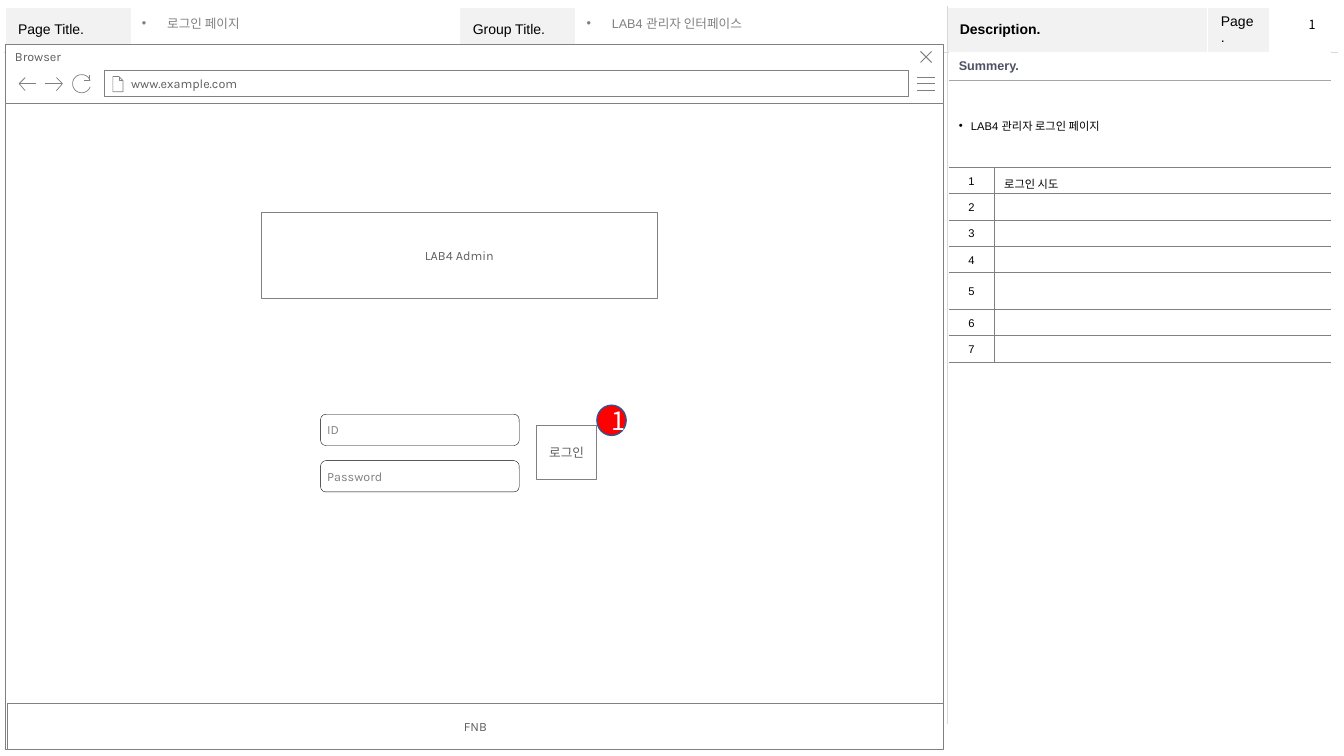
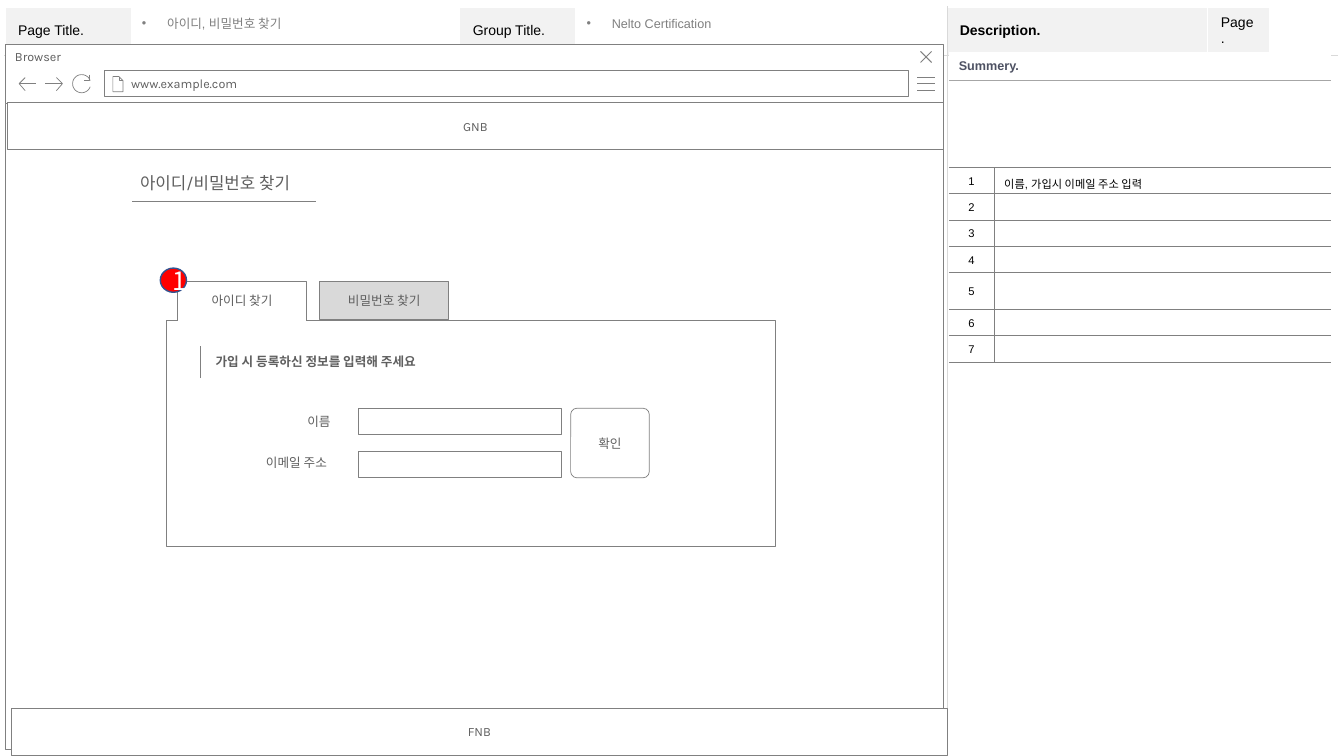
from dataclasses import dataclass
from math import cos, radians, sin
from typing import Any, NamedTuple, Optional

from lxml.etree import SubElement
from pptx import Presentation
from pptx.dml.color import RGBColor
from pptx.enum.shapes import MSO_CONNECTOR as Connector, MSO_SHAPE as Preset
from pptx.enum.text import MSO_ANCHOR as Anchor, PP_ALIGN as Align
from pptx.oxml.ns import qn
from pptx.util import Inches, Pt


@dataclass(frozen=True)
class Theme:
    white: str = "FFFFFF"
    black: str = "000000"
    wire: str = "808080"
    label: str = "5F5F5F"
    band: str = "F2F2F2"
    inactive: str = "D9D9D9"
    summary: str = "4E5263"
    summary_rule: str = "A6A6A6"
    badge: str = "FF0000"
    badge_line: str = "325491"
    sans: str = "Arial"
    wire_font: str = "Karla"
    korean: str = "Noto Sans CJK KR"
    small: float = 8
    body: float = 9
    header: float = 10
    heading: float = 12
    badge_size: float = 18
    thin: float = 0.25
    stroke: float = 0.5


THEME = Theme()
PLAIN_TABLE = "{2D5ABB26-0587-4C30-8999-92F81FD0307C}"
CELL_INSETS = (0.1, 0.05, 0.1, 0.05)
LABEL_INSETS = (0.1, 0.06, 0.1, 0.06)
TAB_INSETS = (0.05, 0.05, 0.05, 0.05)
FIELD_INSETS = (0.05, 0.01, 0.05, 0.01)

# Cell edges are spelled left, right, top, bottom; "-" leaves a side bare
EDGES = {
    "w": (THEME.white, 1),
    "g": (THEME.inactive, THEME.thin),
    "s": (THEME.summary_rule, THEME.thin),
    "d": (THEME.wire, THEME.thin),
}


class Box(NamedTuple):
    left: float
    top: float
    width: float
    height: float


class Point(NamedTuple):
    x: float
    y: float


@dataclass(frozen=True)
class Block:
    """A wireframe element: outline, fill and label."""
    box: Box
    text: str = ""
    preset: Any = Preset.RECTANGLE
    fill: Optional[str] = THEME.white
    line: Optional[str] = THEME.wire
    weight: float = THEME.stroke
    corner: Optional[float] = None
    font: str = THEME.wire_font
    size: float = THEME.body
    color: str = THEME.label
    bold: bool = False
    align: Any = Align.CENTER
    anchor: Any = Anchor.MIDDLE
    insets: tuple = CELL_INSETS
    wrap: bool = True


@dataclass(frozen=True)
class Screen:
    """What the frame around one screen says."""
    page_title: str
    group_title: str
    summary: str
    first_note: str
    page: str = ""


# Text
def write(frame: Any, text: str, *, font: str = THEME.sans, size: float = THEME.body,
          color: str = THEME.black, bold: bool = False, align: Any = Align.LEFT,
          spacing: Optional[float] = None, before: float = 0, bullet: float = 0) -> None:
    paragraph = frame.paragraphs[0]
    paragraph.alignment = align
    if spacing:
        paragraph.line_spacing = spacing
    if before:
        paragraph.space_before = Pt(before)
    if not text:
        paragraph._p.get_or_add_endParaRPr().set("sz", str(int(size * 100)))
        return
    if bullet:
        props = paragraph._p.get_or_add_pPr()
        props.set("marL", str(Inches(bullet)))
        props.set("indent", str(-Inches(bullet)))
        SubElement(props, qn("a:buFont")).set("typeface", THEME.sans)
        SubElement(props, qn("a:buChar")).set("char", "•")
    run = paragraph.add_run()
    run.text = text
    run.font.name = font
    run.font.size = Pt(size)
    run.font.bold = bold
    run.font.color.rgb = RGBColor.from_string(color)
    SubElement(run._r.get_or_add_rPr(), qn("a:ea")).set("typeface", THEME.korean)


def set_insets(holder: Any, insets: tuple) -> None:
    (holder.margin_left, holder.margin_top,
     holder.margin_right, holder.margin_bottom) = map(Inches, insets)


def add_note(slide: Any, box: Box, text: str, *, anchor: Any = Anchor.MIDDLE,
             wrap: bool = True, **style: Any) -> None:
    frame = slide.shapes.add_textbox(*map(Inches, box)).text_frame
    frame.word_wrap = wrap
    frame.vertical_anchor = anchor
    write(frame, text, **style)


# Shapes and lines
def paint(shape: Any, fill: Optional[str], line: Optional[str], weight: float) -> None:
    shape.shadow.inherit = False
    if fill:
        shape.fill.solid()
        shape.fill.fore_color.rgb = RGBColor.from_string(fill)
    else:
        shape.fill.background()
    if line:
        shape.line.color.rgb = RGBColor.from_string(line)
        shape.line.width = Pt(weight)
    else:
        shape.line.fill.background()


def dress(shape: Any, block: Block) -> None:
    paint(shape, block.fill, block.line, block.weight)
    frame = shape.text_frame
    frame.word_wrap = block.wrap
    frame.vertical_anchor = block.anchor
    set_insets(frame, block.insets)
    if block.text:
        write(frame, block.text, font=block.font, size=block.size, color=block.color,
              bold=block.bold, align=block.align)


def add_block(slide: Any, block: Block) -> None:
    shape = slide.shapes.add_shape(block.preset, *map(Inches, block.box))
    if block.corner is not None:
        shape.adjustments[0] = block.corner
    dress(shape, block)


def outline(slide: Any, *strokes: list) -> Any:
    builder = None
    for stroke in strokes:
        start, *rest = [(Inches(x), Inches(y)) for x, y in stroke]
        if builder is None:
            builder = slide.shapes.build_freeform(*start)
        else:
            builder.move_to(*start)
        builder.add_line_segments(rest, close=False)
    return builder.convert_to_shape()


def add_rule(slide: Any, start: Point, end: Point) -> None:
    rule = slide.shapes.add_connector(Connector.STRAIGHT, *map(Inches, (*start, *end)))
    rule.line.color.rgb = RGBColor.from_string(THEME.wire)
    rule.line.width = Pt(THEME.stroke)
    SubElement(rule._element.spPr, qn("a:effectLst"))


def add_badge(slide: Any, box: Box, number: str) -> None:
    add_block(slide, Block(box, number, Preset.OVAL, THEME.badge, THEME.badge_line, 1,
                           font=THEME.korean, size=THEME.badge_size, color=THEME.white))


# Tables
def add_grid(slide: Any, left: float, top: float, widths: list, heights: list) -> Any:
    grid = slide.shapes.add_table(
        len(heights), len(widths), Inches(left), Inches(top),
        Inches(sum(widths)), Inches(sum(heights))).table
    grid.first_row = grid.horz_banding = False
    grid._tbl.tblPr.find(qn("a:tableStyleId")).text = PLAIN_TABLE
    for column, width in zip(grid.columns, widths):
        column.width = Inches(width)
    for row, height in zip(grid.rows, heights):
        row.height = Inches(height)
    return grid


def fill_cell(cell: Any, text: str, edges: str, *, fill: Optional[str] = None,
              insets: tuple = CELL_INSETS, **style: Any) -> None:
    props = cell._tc.get_or_add_tcPr()
    for side, code in zip("LRTB", edges):
        if code in EDGES:
            color, weight = EDGES[code]
            edge = SubElement(props, qn(f"a:ln{side}"), w=str(Pt(weight)))
            SubElement(SubElement(edge, qn("a:solidFill")), qn("a:srgbClr")).set("val", color)
    if fill:
        cell.fill.solid()
        cell.fill.fore_color.rgb = RGBColor.from_string(fill)
    else:
        cell.fill.background()
    cell.vertical_anchor = Anchor.MIDDLE
    set_insets(cell, insets)
    write(cell.text_frame, text, **style)


def add_header(slide: Any) -> None:
    grid = add_grid(slide, 0.05, 0.07, [1.26, 3.25, 1.15, 3.68, 2.59, 0.61, 0.68], [0.44, 6.67])
    titles = ["Page Title.", "", "Group Title.", "", "Description.", "Page.", ""]
    edges = ["wwwg", "wwwg", "wwwg", "wgwg", "gwwg", "wwwg", "wwwg"]
    for column, (title, sides) in enumerate(zip(titles, edges)):
        fill_cell(grid.cell(0, column), title, sides, fill=THEME.band if title else None,
                  insets=(0.13, 0.07, 0.13, 0.07), size=THEME.header,
                  bold=title == "Description.")
        fill_cell(grid.cell(1, column), "", "wggw" if column < 4 else "gwgw")
    grid.cell(1, 0).merge(grid.cell(1, 3))
    grid.cell(1, 4).merge(grid.cell(1, 6))


def add_description(slide: Any, screen: Screen) -> None:
    grid = add_grid(slide, 9.41, 0.52, [0.45, 3.34], [0.28, 0.86] + [0.26] * 4 + [0.37] + [0.26] * 2)
    for column in range(2):
        first = column == 0
        fill_cell(grid.cell(0, column), "Summery." if first else "", "---s",
                  fill=THEME.white, color=THEME.summary, bold=True)
        fill_cell(grid.cell(1, column), screen.summary if first else "", "--sd",
                  size=THEME.small, spacing=1.2, bullet=0.12)
    for row in (0, 1):
        grid.cell(row, 0).merge(grid.cell(row, 1))
    for number in range(1, 8):
        fill_cell(grid.cell(number + 1, 0), str(number), "-ddd",
                  size=THEME.small, spacing=1.2, align=Align.CENTER)
        fill_cell(grid.cell(number + 1, 1), screen.first_note if number == 1 else "", "d-dd",
                  size=THEME.small, spacing=1.2)


# Browser window
def add_browser(slide: Any) -> None:
    add_block(slide, Block(Box(0.05, 1.02, 9.31, 6.41)))
    add_block(slide, Block(Box(0.05, 0.44, 9.31, 0.59), "Browser", align=Align.LEFT,
                           anchor=Anchor.TOP, insets=(0.1, 0.05, 0.25, 0.05)))
    add_block(slide, Block(Box(1.04, 0.7, 7.97, 0.26), "www.example.com",
                           align=Align.LEFT, insets=(0.26, 0.05, 0.1, 0.05)))
    menu = [[(9.1, y), (9.27, y)] for y in (0.77, 0.83, 0.9)]
    close = [[(9.24, 0.51), (9.13, 0.62)], [(9.13, 0.51), (9.24, 0.62)]]
    document = [[(1.18, 0.76), (1.18, 0.8), (1.22, 0.8)],
                [(1.12, 0.76), (1.12, 0.91), (1.22, 0.91), (1.22, 0.8), (1.18, 0.76), (1.12, 0.76)]]
    back = [[(0.25, 0.9), (0.19, 0.83), (0.25, 0.77)], [(0.19, 0.83), (0.36, 0.83)]]
    forward = [[(0.56, 0.77), (0.62, 0.83), (0.56, 0.9)], [(0.62, 0.83), (0.45, 0.83)]]
    turn = [(0.81 + 0.09 * cos(radians(a)), 0.83 + 0.09 * sin(radians(a)))
            for a in range(20, 341, 10)]
    reload = [[(0.89, 0.74), (0.89, 0.8), (0.83, 0.8)], turn]
    for icon in (menu, close, document, back, forward, reload):
        paint(outline(slide, *icon), None, THEME.wire, 0.75 if icon is close else THEME.stroke)


def add_screen(deck: Any, screen: Screen) -> Any:
    slide = deck.slides.add_slide(deck.slide_layouts[6])
    add_header(slide)
    add_browser(slide)
    for box, title in ((Box(1.31, 0.12, 3.24, 0.24), screen.page_title),
                       (Box(5.72, 0.12, 3.64, 0.24), screen.group_title)):
        add_note(slide, box, title, color=THEME.wire, spacing=0.9, before=10, bullet=0.25)
    add_description(slide, screen)
    if screen.page:
        add_note(slide, Box(12.88, 0.12, 0.27, 0.25), screen.page, anchor=Anchor.TOP,
                 wrap=False, font=THEME.korean)
    return slide


deck = Presentation()
deck.slide_width, deck.slide_height = Inches(13.33), Inches(7.5)

# Login page
login = add_screen(deck, Screen("로그인 페이지", "LAB4 관리자 인터페이스",
                                "LAB4 관리자 로그인 페이지", "로그인 시도", "1"))
for row, field in enumerate(("ID", "Password")):
    add_block(login, Block(Box(3.18, 4.11 + 0.46 * row, 1.97, 0.31), field,
                           Preset.ROUNDED_RECTANGLE, line=THEME.black, weight=THEME.thin,
                           color=THEME.wire, align=Align.LEFT, insets=FIELD_INSETS))
add_block(login, Block(Box(2.59, 2.11, 3.93, 0.85), "LAB4 Admin"))
add_block(login, Block(Box(0.07, 6.98, 9.29, 0.46), "FNB"))
add_badge(login, Box(5.92, 4.02, 0.29, 0.3), "1")
add_block(login, Block(Box(5.32, 4.22, 0.6, 0.54), "로그인"))

# Find ID or password
recovery = add_screen(deck, Screen("아이디, 비밀번호 찾기", "Nelto Certification", "",
                                   "이름, 가입시 이메일 주소 입력"))
add_block(recovery, Block(Box(0.07, 1.02, 9.29, 0.46), "GNB"))
add_block(recovery, Block(Box(0.11, 7.03, 9.29, 0.46), "FNB"))
add_rule(recovery, Point(1.31, 2), Point(3.13, 2))
add_block(recovery, Block(Box(1.29, 1.66, 1.85, 0.31), "아이디/비밀번호 찾기", line=None,
                          size=THEME.heading, align=Align.LEFT, insets=LABEL_INSETS))

# Tabs over the form panel
add_block(recovery, Block(Box(1.65, 3.18, 6.04, 2.24)))
for start, end in ((1.76, 1.65), (3.04, 5.57)):
    add_rule(recovery, Point(start, 3.18), Point(end, 3.18))
id_tab = Block(Box(1.76, 2.79, 1.28, 0.38), "아이디 찾기", insets=TAB_INSETS)
dress(outline(recovery, [(1.76, 3.18), (1.76, 2.79), (3.04, 2.79), (3.04, 3.18)]), id_tab)
add_block(recovery, Block(Box(3.17, 2.79, 1.28, 0.38), "비밀번호 찾기",
                          fill=THEME.inactive, insets=TAB_INSETS))

# Form
add_rule(recovery, Point(1.99, 3.75), Point(1.99, 3.43))
for top in (4.05, 4.48):
    add_block(recovery, Block(Box(3.55, top, 2.02, 0.26), fill=None))
for box, label, bold in ((Box(2.04, 3.46, 2.41, 0.26), "가입 시 등록하신 정보를 입력해 주세요", True),
                         (Box(2.95, 4.05, 0.53, 0.26), "이름", False),
                         (Box(2.54, 4.46, 1, 0.26), "이메일 주소", False)):
    add_block(recovery, Block(box, label, line=None, bold=bold, align=Align.LEFT,
                              insets=LABEL_INSETS))
add_block(recovery, Block(Box(5.66, 4.05, 0.78, 0.69), "확인", Preset.ROUNDED_RECTANGLE,
                          corner=0.09, wrap=False))
add_badge(recovery, Box(1.59, 2.66, 0.26, 0.24), "1")

deck.save("out.pptx")
